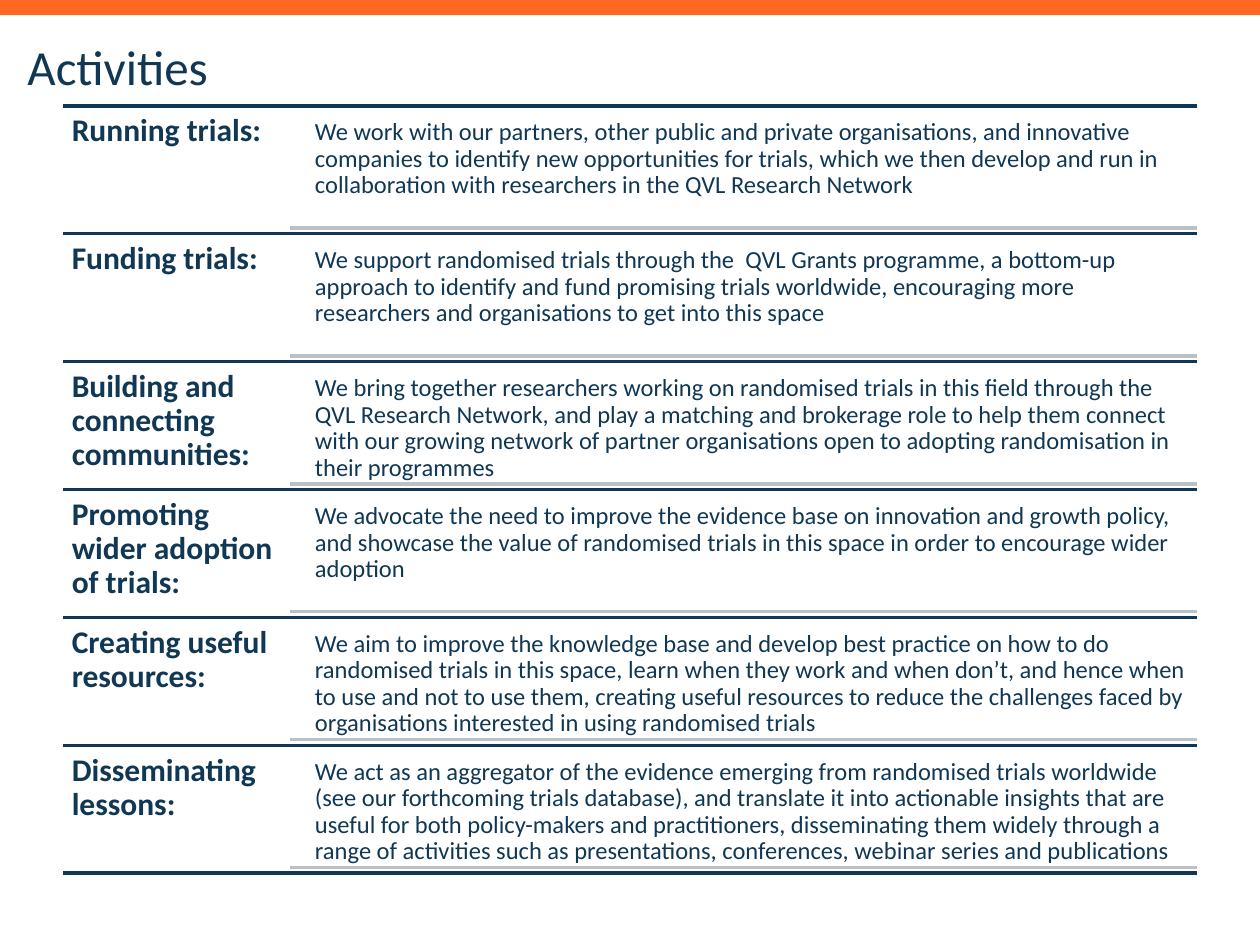
from dataclasses import dataclass

import pptx
import pptx.dml.color
import pptx.enum.shapes
import pptx.enum.text
import pptx.oxml.ns
import pptx.util
from lxml import etree
from pptx.util import Inches


@dataclass(frozen=True)
class Theme:
    font: str = "Calibri"
    navy: str = "103753"
    orange: str = "FF6823"
    grey: str = "BDBFC3"
    title_size: int = 28
    heading_size: int = 18
    body_size: int = 14
    rule_width: int = 2


def rgb(value):
    return pptx.dml.color.RGBColor.from_string(value)


def write_text(frame, text, *, font, size, color, bold=False, line_spacing=None):
    paragraph = frame.paragraphs[0]
    paragraph.text = text
    if line_spacing:
        paragraph.line_spacing = line_spacing
    paragraph.font.name = font
    paragraph.font.size = pptx.util.Pt(size)
    paragraph.font.bold = bold
    paragraph.font.color.rgb = rgb(color)


class SlideBuilder:
    def __init__(self, slide, theme):
        self.slide = slide
        self.theme = theme

    def bar(self, left, top, width, height, color):
        shape = self.slide.shapes.add_shape(
            pptx.enum.shapes.MSO_SHAPE.RECTANGLE,
            Inches(left), Inches(top), Inches(width), Inches(height))
        shape.shadow.inherit = False
        shape.fill.solid()
        shape.fill.fore_color.rgb = rgb(color)
        shape.line.fill.background()

    def rule(self, left, right, top, color):
        connector = self.slide.shapes.add_connector(
            pptx.enum.shapes.MSO_CONNECTOR.STRAIGHT,
            Inches(left), Inches(top), Inches(right), Inches(top))
        connector.line.color.rgb = rgb(color)
        connector.line.width = pptx.util.Pt(self.theme.rule_width)
        properties = connector.element.spPr
        etree.SubElement(properties, pptx.oxml.ns.qn("a:effectLst"))

    def text(self, text, left, top, width, height, *, inset,
             anchor=pptx.enum.text.MSO_ANCHOR.TOP, **text_format):
        box = self.slide.shapes.add_textbox(
            Inches(left), Inches(top), Inches(width), Inches(height))
        frame = box.text_frame
        frame.word_wrap = True
        frame.vertical_anchor = anchor
        frame.margin_left = frame.margin_right = Inches(inset)
        frame.margin_top = frame.margin_bottom = Inches(min(inset, 0.07))
        write_text(frame, text, font=self.theme.font, color=self.theme.navy,
                   **text_format)

    def activity(self, heading, body, top):
        theme = self.theme
        self.rule(LEFT, RIGHT, top, theme.navy)
        self.text(heading, LEFT, top, 1.8, ROW_HEIGHT, inset=0.07,
                  size=theme.heading_size, bold=True, line_spacing=0.9)
        self.text(body, 2.44, top + ROW_GAP, 7.07, BODY_HEIGHT, inset=0.06,
                  size=theme.body_size, line_spacing=0.9)
        self.rule(2.3, RIGHT, top + ROW_GAP + BODY_HEIGHT, theme.grey)


ACTIVITIES = [
    ("Running trials:",
     "We work with our partners, other public and private organisations, and "
     "innovative companies to identify new opportunities for trials, which we "
     "then develop and run in collaboration with researchers in the QVL "
     "Research Network"),
    ("Funding trials:",
     "We support randomised trials through the  QVL Grants programme, a "
     "bottom-up approach to identify and fund promising trials worldwide, "
     "encouraging more researchers and organisations to get into this space"),
    ("Building and connecting communities:",
     "We bring together researchers working on randomised trials in this field "
     "through the QVL Research Network, and play a matching and brokerage role "
     "to help them connect with our growing network of partner organisations "
     "open to adopting randomisation in their programmes"),
    ("Promoting wider adoption of trials:",
     "We advocate the need to improve the evidence base on innovation and "
     "growth policy, and showcase the value of randomised trials in this space "
     "in order to encourage wider adoption"),
    ("Creating useful resources:",
     "We aim to improve the knowledge base and develop best practice on how to "
     "do randomised trials in this space, learn when they work and when don’t, "
     "and hence when to use and not to use them, creating useful resources to "
     "reduce the challenges faced by organisations interested in using "
     "randomised trials"),
    ("Disseminating lessons:",
     "We act as an aggregator of the evidence emerging from randomised trials "
     "worldwide (see our forthcoming trials database), and translate it into "
     "actionable insights that are useful for both policy-makers and "
     "practitioners, disseminating them widely through a range of activities "
     "such as presentations, conferences, webinar series and publications"),
]

# Row grid, in inches
LEFT, RIGHT = 0.5, 9.5
TOP, BOTTOM = 0.84, 6.93
ROW_HEIGHT = (BOTTOM - TOP) / len(ACTIVITIES)
ROW_GAP = 0.05
BODY_HEIGHT = 0.92


def main():
    presentation = pptx.Presentation()
    presentation.slide_width = Inches(10)
    presentation.slide_height = Inches(7.5)
    slide = presentation.slides.add_slide(presentation.slide_layouts[6])
    theme = Theme()
    builder = SlideBuilder(slide, theme)

    # Top band and title
    builder.bar(0, 0, 10, 0.12, theme.orange)
    builder.text("Activities", 0.12, 0.21, 9.77, 0.63, inset=0.1,
                 anchor=pptx.enum.text.MSO_ANCHOR.MIDDLE, size=theme.title_size)

    # Activity rows, closed by a final rule
    for index, (heading, body) in enumerate(ACTIVITIES):
        builder.activity(heading, body, TOP + index * ROW_HEIGHT)
    builder.rule(LEFT, RIGHT, BOTTOM, theme.navy)

    presentation.save("out.pptx")


if __name__ == "__main__":
    main()
